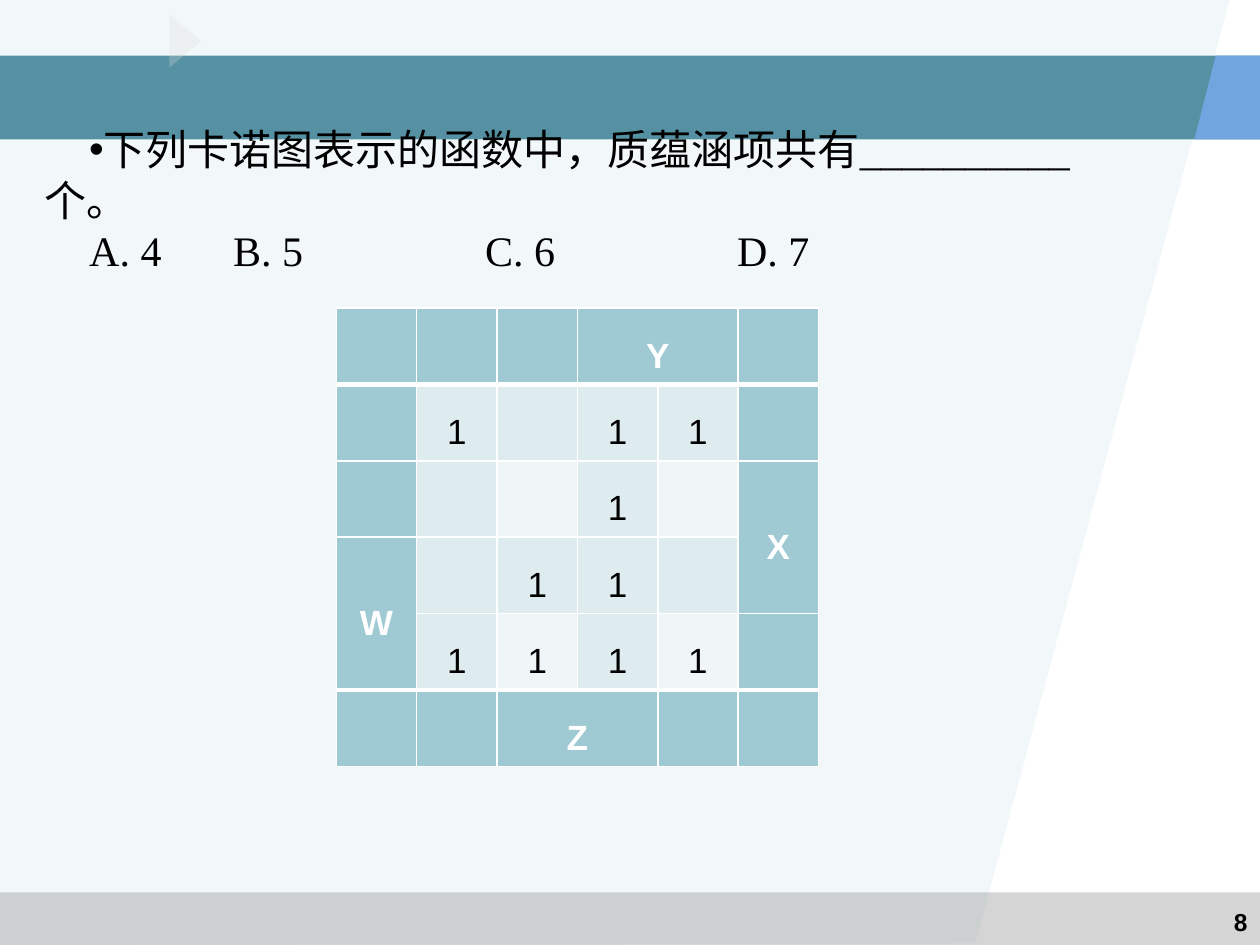
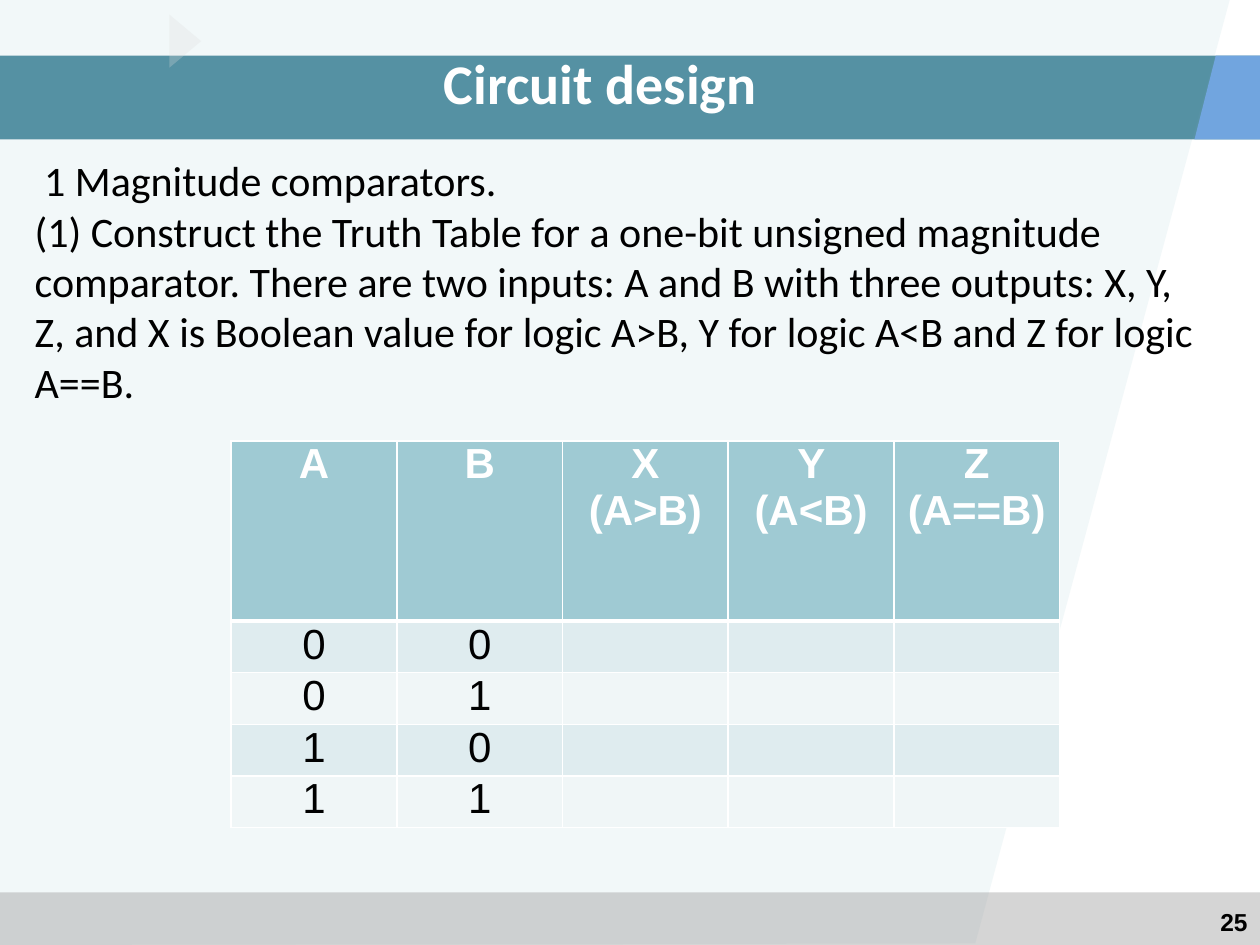
"""Build two logic design slides: a Karnaugh map and a truth table."""
import pptx
import pptx.dml.color
import pptx.enum.shapes
import pptx.enum.text
import pptx.oxml
import pptx.oxml.ns
import pptx.util
from lxml import etree

Cm = pptx.util.Cm
Pt = pptx.util.Pt
RGB = pptx.dml.color.RGBColor
FORM = pptx.enum.shapes.MSO_SHAPE
ALIGN = pptx.enum.text.PP_ALIGN
ANCHOR = pptx.enum.text.MSO_ANCHOR
qn = pptx.oxml.ns.qn

WHITE = RGB(0xFF, 0xFF, 0xFF)
BLACK = RGB(0x00, 0x00, 0x00)
AQUA = RGB(0x9F, 0xCA, 0xD3)
MIST = RGB(0xDF, 0xEC, 0xEF)
PALE = RGB(0xF0, 0xF6, 0xF7)
TEAL = RGB(0x26, 0x72, 0x8A)
BLUE = RGB(0x71, 0xA5, 0xDF)
GREY = RGB(0x96, 0x96, 0x96)
SILVER = RGB(0xDD, 0xDD, 0xDD)

WIDE, HIGH = 25.4, 19.05
BAND_TOP, BAND_LOW = 1.12, 2.81
FOOT_TOP = 17.99

SLANT = [(0, 0), (24.79, 0), (19.66, 19.02), (0, HIGH)]
CORNER = [(24.51, BAND_TOP), (24.08, BAND_LOW), (WIDE, BAND_LOW), (WIDE, BAND_TOP)]

QUIZ = {
    "page": "8",
    "body": {
        "box": (0.64, 2.87, 22.81, 3.33),
        "font": "Times New Roman",
        "indent": 0.91,
        "lines": [
            ("•", "下列卡诺图表示的函数中，质蕴涵项共有__________个。"),
            ("", "A. 4\t\tB. 5\t\t\tC. 6\t\t\tD. 7"),
        ],
    },
    "table": {
        "at": (6.78, 6.21),
        "cols": [1.62] * 6,
        "rows": [1.54] * 6,
        "cells": [
            ["", "", "", "Y", "", ""],
            ["", "1", "", "1", "1", ""],
            ["", "", "", "1", "", "X"],
            ["W", "", "1", "1", "", ""],
            ["", "1", "1", "1", "1", ""],
            ["", "", "Z", "", "", ""],
        ],
        "spans": [(0, 3, 0, 4), (2, 5, 3, 5), (3, 0, 4, 0), (5, 2, 5, 3)],
        "heads": ({0, 5}, {0, 5}),
        "pale": lambda row, col: row % 2 == 0 and col % 2 == 0,
        "thick": {1, 5},
        "size": 20,
        "space": 1.5,
        "anchor": ANCHOR.MIDDLE,
    },
}

DESIGN = {
    "page": "25",
    "title": "Circuit design",
    "body": {
        "box": (0.45, 2.97, 24.08, 6.4),
        "font": "Calibri",
        "indent": 0,
        "lines": [
            ("", " 1 Magnitude comparators."),
            ("", "(1) Construct the Truth Table for a one-bit unsigned magnitude "
                 "comparator. There are two inputs: A and B with three outputs: "
                 "X, Y, Z, and X is Boolean value for logic A>B, Y for logic A<B "
                 "and Z for logic A==B."),
        ],
    },
    "table": {
        "at": (4.66, 8.89),
        "cols": [3.34] * 5,
        "rows": [3.63] + [1.04] * 4,
        "cells": [
            ["A", "B", "X (A>B)", "Y (A<B)", "Z (A==B)"],
            ["0", "0", "", "", ""],
            ["0", "1", "", "", ""],
            ["1", "0", "", "", ""],
            ["1", "1", "", "", ""],
        ],
        "spans": [],
        "heads": ({0}, set()),
        "pale": lambda row, col: row % 2 == 0,
        "thick": {1},
        "size": 24,
        "space": 1.0,
        "anchor": ANCHOR.TOP,
    },
}


def paint(shape, hue, alpha=100):
    """Fill a shape without line or shadow, at a given opacity."""
    shape.shadow.inherit = False
    shape.line.fill.background()
    shape.fill.solid()
    shape.fill.fore_color.rgb = hue
    if alpha < 100:
        tint = shape._element.spPr.find(".//" + qn("a:srgbClr"))
        etree.SubElement(tint, qn("a:alpha")).set("val", str(alpha * 1000))


def add_form(slide, kind, box, hue, alpha):
    """Add a preset shape."""
    shape = slide.shapes.add_shape(kind, *map(Cm, box))
    paint(shape, hue, alpha)
    return shape


def add_free(slide, points, hue, alpha=100):
    """Add a closed outline."""
    spots = [(Cm(x), Cm(y)) for x, y in points]
    pen = slide.shapes.build_freeform(*spots[0], scale=1.0)
    pen.add_line_segments(spots[1:], close=True)
    paint(pen.convert_to_shape(), hue, alpha)


def add_run(para, text, font, size, hue, bold=False):
    """Add one styled run."""
    run = para.add_run()
    run.text = text
    run.font.name = font
    run.font.size = Pt(size)
    run.font.bold = bold
    run.font.color.rgb = hue


def add_box(slide, box, anchor):
    """Add a wrapping text box and return its frame."""
    frame = slide.shapes.add_textbox(*map(Cm, box)).text_frame
    frame.word_wrap = True
    frame.vertical_anchor = anchor
    return frame


def add_label(slide, box, text, font, size, hue, align, anchor):
    """Add a bold one-line label."""
    para = add_box(slide, box, anchor).paragraphs[0]
    para.alignment = align
    add_run(para, text, font, size, hue, True)


def add_body(slide, body):
    """Add the main text with its indent and bullet."""
    frame = add_box(slide, body["box"], ANCHOR.MIDDLE)
    frame.margin_bottom = Cm(1.15)
    for rank, (mark, text) in enumerate(body["lines"]):
        para = frame.add_paragraph() if rank else frame.paragraphs[0]
        props = para._p.get_or_add_pPr()
        props.set("marL", "0")
        props.set("indent", str(Cm(body["indent"])))
        props.set("hangingPunct", "0")
        if mark:
            etree.SubElement(props, qn("a:buFont")).set("typeface", "Arial")
            etree.SubElement(props, qn("a:buChar")).set("char", mark)
        else:
            etree.SubElement(props, qn("a:buNone"))
        add_run(para, text, body["font"], 24, BLACK)


def add_edges(cell, top, low):
    """Draw white cell borders with the given top and bottom widths."""
    props = cell._tc.get_or_add_tcPr()
    for side, width in (("L", 1), ("R", 1), ("T", top), ("B", low)):
        edge = etree.SubElement(props, qn("a:ln" + side), w=str(Pt(width)))
        fill = etree.SubElement(edge, qn("a:solidFill"))
        etree.SubElement(fill, qn("a:srgbClr")).set("val", str(WHITE))


def add_grid(slide, data):
    """Add a table with head cells, shaded cells and merged spans."""
    cols, rows = data["cols"], data["rows"]
    size = (sum(cols), sum(rows))
    grid = slide.shapes.add_table(
        len(rows), len(cols), *map(Cm, data["at"] + size)).table
    grid.first_row = grid.horz_banding = False
    for part, width in zip(grid.columns, cols):
        part.width = Cm(width)
    for part, height in zip(grid.rows, rows):
        part.height = Cm(height)
    for top, left, low, right in data["spans"]:
        grid.cell(top, left).merge(grid.cell(low, right))
    head_rows, head_cols = data["heads"]
    for row, texts in enumerate(data["cells"]):
        for col, text in enumerate(texts):
            cell = grid.cell(row, col)
            head = row in head_rows or col in head_cols
            add_edges(cell, *(3 if line in data["thick"] else 1
                              for line in (row, row + 1)))
            cell.fill.solid()
            shade = PALE if data["pale"](row, col) else MIST
            cell.fill.fore_color.rgb = AQUA if head else shade
            cell.margin_left = cell.margin_right = Cm(0.18)
            cell.margin_top = cell.margin_bottom = 0
            cell.vertical_anchor = data["anchor"]
            if text:
                para = cell.text_frame.paragraphs[0]
                para.alignment = ALIGN.CENTER
                para.line_spacing = data["space"]
                add_run(para, text, "Arial", data["size"],
                        WHITE if head else BLACK, head)


def add_base(slide):
    """Draw the backdrop, the bands and the marker."""
    add_free(slide, SLANT, AQUA, 13)
    add_form(slide, FORM.RECTANGLE, (0, FOOT_TOP, WIDE, HIGH - FOOT_TOP), GREY, 40)
    add_form(slide, FORM.RECTANGLE, (0, BAND_TOP, WIDE, BAND_LOW - BAND_TOP), TEAL, 77)
    add_free(slide, CORNER, BLUE)
    mark = add_form(slide, FORM.ISOSCELES_TRIANGLE, (3.2, 0.51, 1.07, 0.64), SILVER, 27)
    mark.rotation = 90


def main():
    """Build and save the deck."""
    deck = pptx.Presentation()
    deck.slide_width, deck.slide_height = Cm(WIDE), Cm(HIGH)
    for data in (QUIZ, DESIGN):
        slide = deck.slides.add_slide(deck.slide_layouts[6])
        add_base(slide)
        if "title" in data:
            add_label(slide, (0.46, 1.02, 23.29, 1.27), data["title"], "Calibri",
                      32, WHITE, ALIGN.CENTER, ANCHOR.MIDDLE)
        add_grid(slide, data["table"])
        add_body(slide, data["body"])
        add_label(slide, (19.48, 18.16, 5.92, 0.89), data["page"], "Arial",
                  14, BLACK, ALIGN.RIGHT, ANCHOR.TOP)
    deck.save("out.pptx")


if __name__ == "__main__":
    main()
